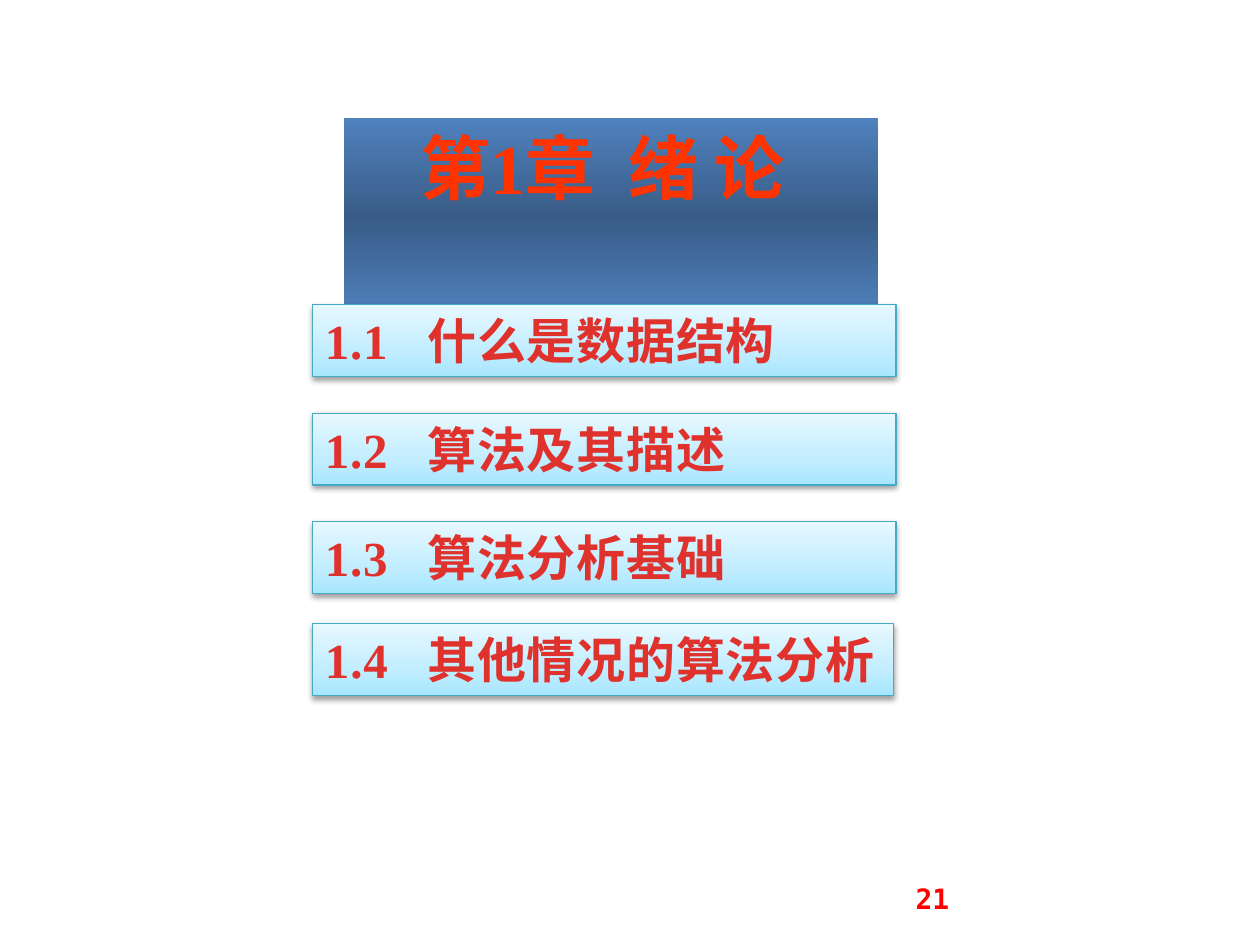
"""Build the outline slide of chapter one."""
from dataclasses import dataclass

from lxml import etree
from pptx import Presentation
from pptx.dml.color import RGBColor
from pptx.enum.shapes import MSO_SHAPE
from pptx.enum.text import MSO_ANCHOR, MSO_AUTO_SIZE, PP_ALIGN
from pptx.oxml.ns import qn
from pptx.util import Pt

RECT = MSO_SHAPE.RECTANGLE
TOP = MSO_ANCHOR.TOP
GROW = MSO_AUTO_SIZE.SHAPE_TO_FIT_TEXT
LEFT, MID = PP_ALIGN.LEFT, PP_ALIGN.CENTER


@dataclass(frozen=True)
class Blend:
    stops: tuple
    angle: int


@dataclass(frozen=True)
class Theme:
    serif: str = "Times New Roman"
    mono: str = "DejaVu Sans Mono"
    head: str = "FF3300"
    page: str = "FF0000"
    edge: str = "46AAC5"
    shade: str = "000000"
    head_size: int = 40
    item_size: int = 28
    page_size: int = 16
    band: Blend = Blend(((0, "4F81BD"), (50, "395C87"), (100, "4F81BD")), 90)
    panel: Blend = Blend(((0, "A7E6FF"), (35, "C1EDFF"), (100, "E7F8FF")), 270)
    ink: Blend = Blend(((25, "E0322D"), (100, "A2201C")), 90)


@dataclass(frozen=True)
class Item:
    label: str
    text: str
    top: float
    width: float = 333.4


THEME = Theme()
ITEMS = (
    Item("1.1", "什么是数据结构", 174.2),
    Item("1.2", "算法及其描述", 236.2),
    Item("1.3", "算法分析基础", 298.1),
    Item("1.4", "其他情况的算法分析", 356.4, 331.9),
)


def add_node(base, tag: str, **attrs):
    """Append one drawing element with its attributes."""
    return etree.SubElement(base, qn(tag), {k: str(v) for k, v in attrs.items()})


def set_blend(fill, props, blend: Blend) -> None:
    """Turn a fill into a linear gradient."""
    fill.solid()
    grad = etree.Element(qn("a:gradFill"), rotWithShape="1")
    stops = add_node(grad, "a:gsLst")
    for place, color in blend.stops:
        stop = add_node(stops, "a:gs", pos=place * 1000)
        add_node(stop, "a:srgbClr", val=color)
    add_node(grad, "a:lin", ang=blend.angle * 60000, scaled=0)
    props.replace(props.find(qn("a:solidFill")), grad)


def set_font(run, name: str, size: int, color: str) -> None:
    """Give a run its bold face, size and colour."""
    run.font.name, run.font.size, run.font.bold = name, Pt(size), True
    run.font.color.rgb = RGBColor.from_string(color)


def draw_title(title) -> None:
    """Place and format the chapter title."""
    title.left, title.top = Pt(196.6), Pt(67.7)
    title.width, title.height = Pt(305.3), Pt(55.4)
    set_blend(title.fill, title.element.spPr, THEME.band)
    frame = title.text_frame
    frame.word_wrap, frame.auto_size = True, GROW
    frame.vertical_anchor = TOP
    frame.margin_right = Pt(17.2)
    para = frame.paragraphs[0]
    para.alignment = MID
    for text in ("第1章", " ", "绪 论"):
        run = para.add_run()
        run.text = text
        set_font(run, THEME.serif, THEME.head_size, THEME.head)
    gap = list(para.runs)[1].font
    gap.size = Pt(2 * THEME.head_size)
    gap.size = Pt(THEME.head_size)
    list(title.element.iter(qn("a:rPr")))[1].set("spc", "1000")


def draw_item(slide, item: Item) -> None:
    """Draw one section panel with its number and name."""
    box = slide.shapes.add_shape(
        RECT, Pt(178.6), Pt(item.top), Pt(item.width), Pt(41)
    )
    props = box.element.spPr
    set_blend(box.fill, props, THEME.panel)
    box.line.color.rgb = RGBColor.from_string(THEME.edge)
    box.line.width = Pt(0.75)
    box.shadow.inherit = False
    cast = add_node(
        props.find(qn("a:effectLst")), "a:outerShdw",
        blurRad=Pt(3.1), dist=Pt(1.6), dir=5400000, rotWithShape=0,
    )
    add_node(add_node(cast, "a:srgbClr", val=THEME.shade), "a:alpha", val=38000)
    frame = box.text_frame
    frame.word_wrap, frame.auto_size = True, GROW
    frame.vertical_anchor = TOP
    para = frame.paragraphs[0]
    para.text = f"{item.label}\t{item.text}"
    para.alignment = LEFT
    tabs = add_node(box.element.find(".//" + qn("a:pPr")), "a:tabLst")
    add_node(tabs, "a:tab", pos=Pt(58.5), algn="l")
    run = para.runs[0]
    set_font(run, THEME.serif, THEME.item_size, THEME.ink.stops[0][1])
    face = box.element.find(".//" + qn("a:rPr"))
    face.set("spc", "50")
    set_blend(run.font.fill, face, THEME.ink)


def draw_page(slide) -> None:
    """Write the page number."""
    box = slide.shapes.add_textbox(Pt(516.2), Pt(500.4), Pt(167.8), Pt(28.8))
    box.text_frame.word_wrap = True
    box.text_frame.text = "21"
    run = box.text_frame.paragraphs[0].runs[0]
    set_font(run, THEME.mono, THEME.page_size, THEME.page)


def main() -> None:
    """Build and save the deck."""
    deck = Presentation()
    deck.slide_width, deck.slide_height = Pt(720), Pt(540)
    slide = deck.slides.add_slide(deck.slide_layouts[5])
    draw_title(slide.shapes.title)
    for item in ITEMS:
        draw_item(slide, item)
    draw_page(slide)
    deck.save("out.pptx")


if __name__ == "__main__":
    main()
